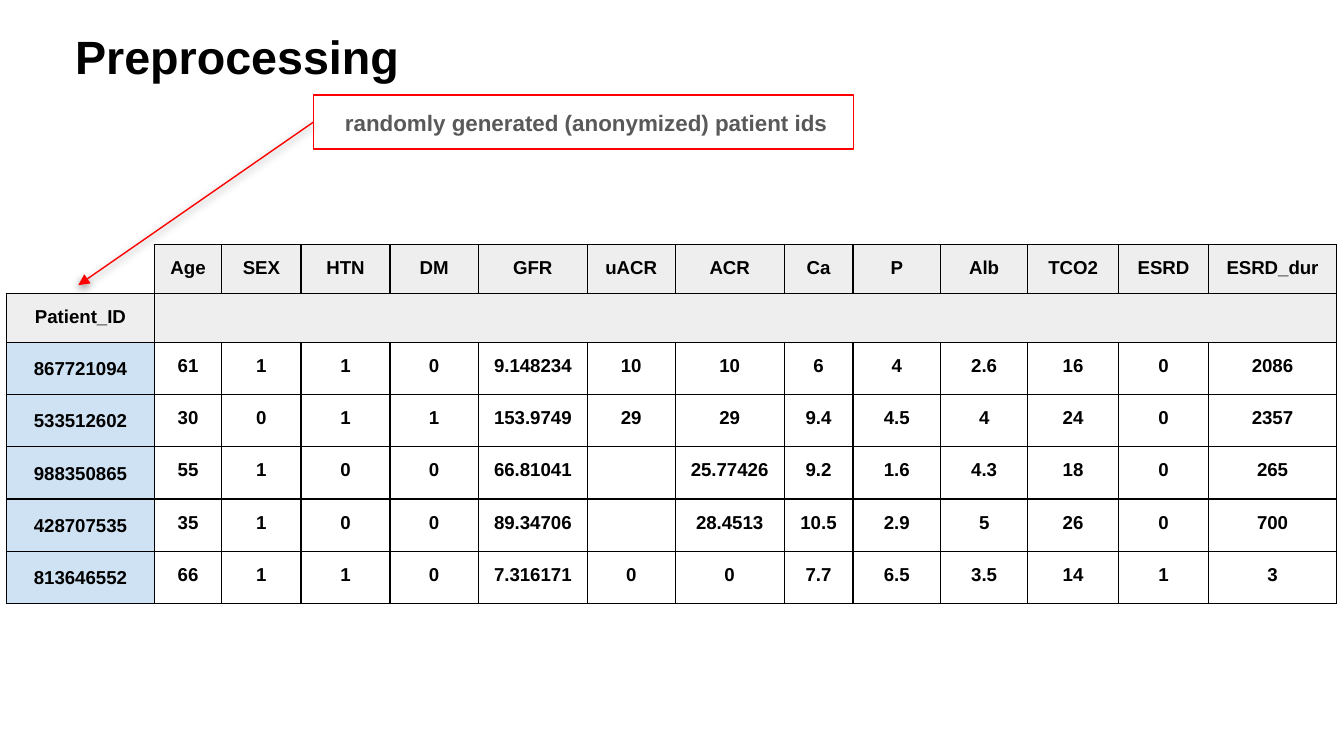
"""Build the preprocessing slide: an anonymized patient table with a callout."""
from dataclasses import dataclass

from lxml.etree import SubElement
from pptx import Presentation
from pptx.dml.color import RGBColor
from pptx.enum.shapes import MSO_CONNECTOR, MSO_SHAPE
from pptx.enum.text import MSO_ANCHOR, PP_ALIGN
from pptx.oxml import parse_xml
from pptx.oxml.ns import nsdecls, qn
from pptx.util import Cm, Pt

FONT = "Arial"
BLACK, RED, GREY = "000000", "FF0000", "595959"
HEADER_FILL, ID_FILL = "EEEEEE", "CFE2F3"
INSET = Cm(0.25)
HEADER_HEIGHT, PATIENT_HEIGHT = 0.91, 0.96
COLUMN_WIDTHS = (2.8, 1.27, 1.5, 1.68, 1.67, 2.06, 1.66,
                 2.06, 1.3, 1.66, 1.64, 1.72, 1.7, 2.42)
FEATURES = ("Age", "SEX", "HTN", "DM", "GFR", "uACR", "ACR",
            "Ca", "P", "Alb", "TCO2", "ESRD", "ESRD_dur")


@dataclass
class Patient:
    patient_id: str
    measures: tuple[str, ...]


PATIENTS = (
    Patient("867721094", ("61", "1", "1", "0", "9.148234", "10", "10",
                          "6", "4", "2.6", "16", "0", "2086")),
    Patient("533512602", ("30", "0", "1", "1", "153.9749", "29", "29",
                          "9.4", "4.5", "4", "24", "0", "2357")),
    Patient("988350865", ("55", "1", "0", "0", "66.81041", "", "25.77426",
                          "9.2", "1.6", "4.3", "18", "0", "265")),
    Patient("428707535", ("35", "1", "0", "0", "89.34706", "", "28.4513",
                          "10.5", "2.9", "5", "26", "0", "700")),
    Patient("813646552", ("66", "1", "1", "0", "7.316171", "0", "0",
                          "7.7", "6.5", "3.5", "14", "1", "3")),
)


def color(hex_code: str) -> RGBColor:
    return RGBColor.from_string(hex_code)


def write(frame, text: str, size: float, hex_code: str, align=PP_ALIGN.LEFT) -> None:
    frame.text = text
    paragraph = frame.paragraphs[0]
    paragraph.alignment = align
    for run in paragraph.runs:
        run.font.name = FONT
        run.font.size = Pt(size)
        run.font.bold = True
        run.font.color.rgb = color(hex_code)


def add_border(cell, sides: str) -> None:
    properties = cell._tc.get_or_add_tcPr()
    for side in sides:
        line = SubElement(properties, qn(f"a:ln{side}"), w=str(Pt(0.75)))
        fill = SubElement(line, qn("a:solidFill"))
        SubElement(fill, qn("a:srgbClr"), val=BLACK)


def fill_cell(cell, text: str, fill: str | None, sides: str = "LRTB") -> None:
    add_border(cell, sides)
    if fill:
        cell.fill.solid()
        cell.fill.fore_color.rgb = color(fill)
    else:
        cell.fill.background()
    cell.margin_left = cell.margin_right = INSET
    cell.margin_top = cell.margin_bottom = INSET if text else 0
    write(cell.text_frame, text, 10, BLACK, PP_ALIGN.CENTER)


def add_title(slide, text: str) -> None:
    title = slide.shapes.add_textbox(Cm(1.17), Cm(0.2), Cm(17.98), Cm(2.21))
    title.text_frame.word_wrap = True
    title.text_frame.margin_left = INSET
    title.text_frame.margin_top = Cm(0.33)
    write(title.text_frame, text, 25, BLACK)


def add_patient_table(slide) -> None:
    row_heights = [HEADER_HEIGHT] * 2 + [PATIENT_HEIGHT] * len(PATIENTS)
    table = slide.shapes.add_table(
        len(row_heights), len(COLUMN_WIDTHS), Cm(0.12), Cm(4.62),
        Cm(sum(COLUMN_WIDTHS)), Cm(sum(row_heights))).table
    table.first_row = table.horz_banding = False
    for column, width in zip(table.columns, COLUMN_WIDTHS):
        column.width = Cm(width)
    for row, height in zip(table.rows, row_heights):
        row.height = Cm(height)

    fill_cell(table.cell(0, 0), "", None, "RB")
    fill_cell(table.cell(1, 0), "Patient_ID", HEADER_FILL)
    for index, feature in enumerate(FEATURES, 1):
        fill_cell(table.cell(0, index), feature, HEADER_FILL)
        fill_cell(table.cell(1, index), "", HEADER_FILL)
    table.cell(1, 1).merge(table.cell(1, len(FEATURES)))

    for row_index, patient in enumerate(PATIENTS, 2):
        id_cell = table.cell(row_index, 0)
        fill_cell(id_cell, patient.patient_id, ID_FILL)
        id_cell.text_frame.paragraphs[0].line_spacing = 1.15
        for index, measure in enumerate(patient.measures, 1):
            fill_cell(table.cell(row_index, index), measure, None)


def add_callout(slide, text: str) -> None:
    arrow = slide.shapes.add_connector(
        MSO_CONNECTOR.STRAIGHT, Cm(5.92), Cm(2.31), Cm(1.48), Cm(5.39))
    callout = slide.shapes.add_shape(
        MSO_SHAPE.RECTANGLE, Cm(5.92), Cm(1.8), Cm(10.21), Cm(1.02))
    callout.shadow.inherit = False
    callout.fill.background()
    frame = callout.text_frame
    frame.word_wrap = True
    frame.vertical_anchor = MSO_ANCHOR.MIDDLE
    frame.margin_left = Cm(0.6)
    frame.margin_right = frame.margin_top = frame.margin_bottom = INSET
    write(frame, text, 12, GREY)

    for outlined in (arrow, callout):
        outlined.line.color.rgb = color(RED)
        outlined.line.width = Pt(0.75)
    arrow.begin_connect(callout, 1)
    SubElement(arrow.line._get_or_add_ln(), qn("a:tailEnd"), type="triangle")
    arrow._element.spPr.append(parse_xml(
        f'<a:effectLst {nsdecls("a")}><a:outerShdw blurRad="{Pt(4.5)}" '
        f'dist="{Pt(1.5)}" dir="5400000" algn="bl" rotWithShape="0">'
        f'<a:srgbClr val="{BLACK}"><a:alpha val="50000"/></a:srgbClr>'
        '</a:outerShdw></a:effectLst>'))


def main() -> None:
    presentation = Presentation()
    presentation.slide_width, presentation.slide_height = Cm(25.4), Cm(14.29)
    slide = presentation.slides.add_slide(presentation.slide_layouts[6])
    add_title(slide, "Preprocessing")
    add_patient_table(slide)
    add_callout(slide, "randomly generated (anonymized) patient ids")
    presentation.save("out.pptx")


if __name__ == "__main__":
    main()
